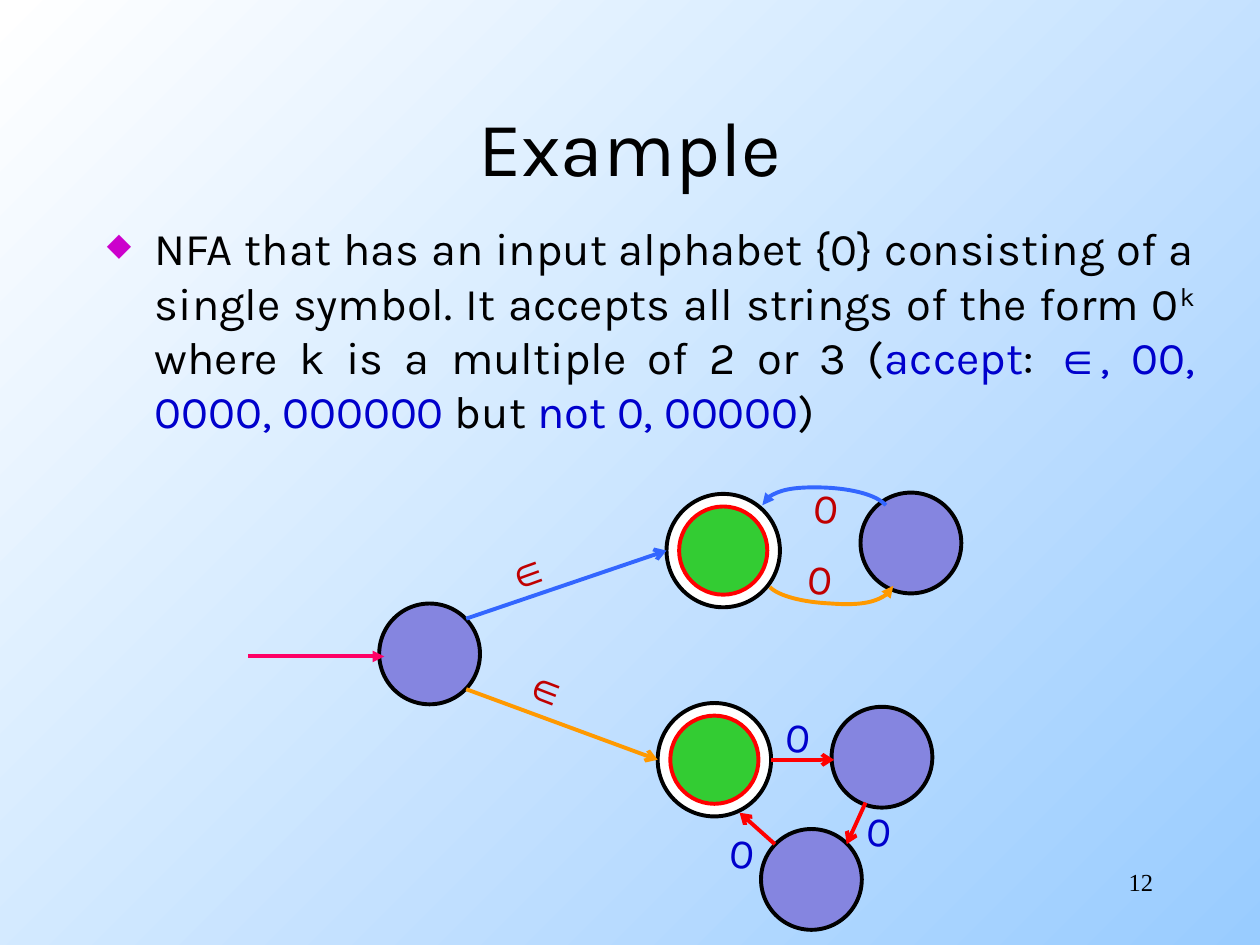
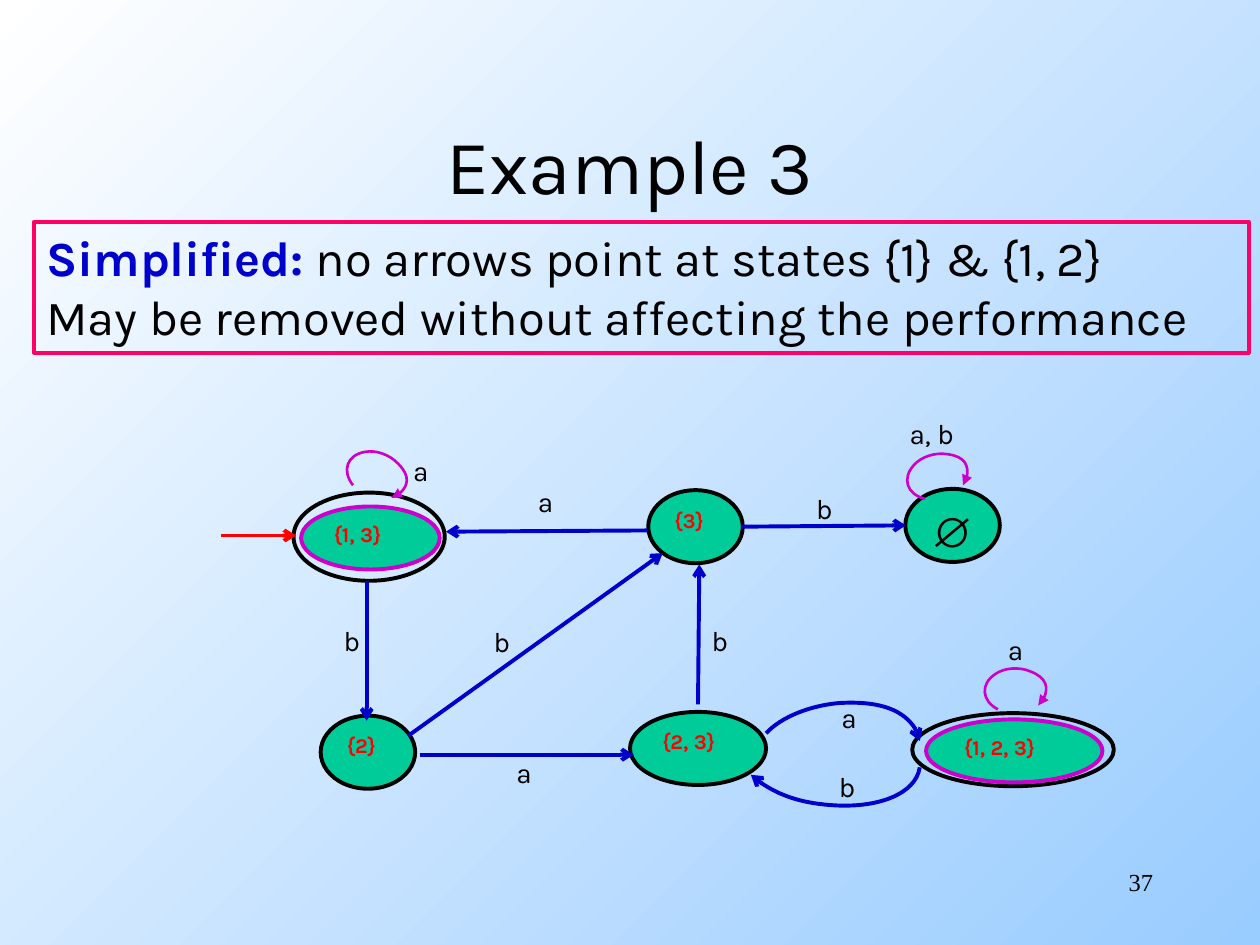
from math import cos, radians, sin

from lxml import etree
from pptx import Presentation
from pptx.dml.color import RGBColor
from pptx.enum.shapes import MSO_CONNECTOR, MSO_SHAPE
from pptx.enum.text import MSO_ANCHOR, PP_ALIGN
from pptx.oxml.ns import qn
from pptx.util import Inches, Pt

STRAIGHT = MSO_CONNECTOR.STRAIGHT
OVAL = MSO_SHAPE.OVAL
TOP, MIDDLE = MSO_ANCHOR.TOP, MSO_ANCHOR.MIDDLE
LEFT, CENTER = PP_ALIGN.LEFT, PP_ALIGN.CENTER
RIGHT, JUSTIFY = PP_ALIGN.RIGHT, PP_ALIGN.JUSTIFY

BLACK = RGBColor(0x00, 0x00, 0x00)
WHITE = RGBColor(0xFF, 0xFF, 0xFF)
SKY = RGBColor(0x99, 0xCC, 0xFF)
NAVY = RGBColor(0x00, 0x00, 0xCC)
BLUE = RGBColor(0x33, 0x66, 0xFF)
ORANGE = RGBColor(0xFF, 0x99, 0x00)
RED = RGBColor(0xFF, 0x00, 0x00)
DARK_RED = RGBColor(0xC0, 0x00, 0x00)
PINK = RGBColor(0xFF, 0x00, 0x66)
MAGENTA = RGBColor(0xCC, 0x00, 0xCC)
LILAC = RGBColor(0x85, 0x85, 0xE0)
GREEN = RGBColor(0x33, 0xCC, 0x33)
TEAL = RGBColor(0x00, 0xCC, 0x99)

KARLA, ARIAL, TIMES = "Karla", "Arial", "Times New Roman"
TITLE = {"name": KARLA, "size": Pt(44), "color": BLACK}
BODY = {"name": KARLA, "size": Pt(25.9), "color": BLACK}
NOTE = {"name": KARLA, "size": Pt(28), "color": BLACK}
NUMBER = {"name": TIMES, "size": Pt(14), "color": BLACK}
STATE = {"name": KARLA, "size": Pt(12), "color": RED, "bold": True}
EMPTY_SET = {"name": ARIAL, "size": Pt(24), "color": BLACK, "bold": True}
EDGE = {"name": KARLA, "size": Pt(16), "color": BLACK}
BIG_EDGE = {"name": KARLA, "size": Pt(24), "color": NAVY}
ACCENT = {"color": NAVY}

DIAGRAM = (1.5, 3)
LOOP = [(-.14, .15), (-.27, .08), (-.28, -.05), (-.16, -.13), (-.09, -.18),
        (.03, -.19), (.12, -.15), (.25, -.1), (.28, .03), (.18, .12)]


def add_run(p, text, fmt):
    r = p.add_run()
    r.text = text
    for name, value in fmt.items():
        if name == "color":
            r.font.color.rgb = value
        else:
            setattr(r.font, name, value)
    return r


def add_text(s, box, text, fmt, align=LEFT, anchor=TOP, wrap=True, rotation=0):
    sp = s.shapes.add_textbox(*map(Inches, box))
    sp.rotation = rotation
    tf = sp.text_frame
    tf.word_wrap = wrap
    tf.vertical_anchor = anchor
    p = tf.paragraphs[0]
    p.alignment = align
    if text:
        add_run(p, text, fmt)
    return sp


def add_frame(prs, title, title_top, number):
    s = prs.slides.add_slide(prs.slide_layouts[6])
    add_text(s, (.75, title_top, 8.5, 1.25), title, TITLE, CENTER, MIDDLE)
    add_text(s, (7.17, 6.83, 2.08, .5), number, NUMBER, RIGHT)
    return s


def add_state(s, box, center, size, fill, line, text="", fmt=STATE):
    (x, y), (cx, cy), (w, h) = box, center, size
    sp = s.shapes.add_shape(OVAL, Inches(x + cx - w / 2), Inches(y + cy - h / 2),
                            Inches(w), Inches(h))
    sp.shadow.inherit = False
    if fill is None:
        sp.fill.background()
    else:
        sp.fill.solid()
        sp.fill.fore_color.rgb = fill
    sp.line.color.rgb = line
    sp.line.width = Pt(2.25)
    if text:
        tf = sp.text_frame
        tf.vertical_anchor = TOP
        tf.paragraphs[0].alignment = LEFT
        add_run(tf.paragraphs[0], text, fmt)


def style_line(sp, color, head, width):
    sp.line.color.rgb = color
    sp.line.width = Pt(width)
    etree.SubElement(sp.line._get_or_add_ln(), qn("a:tailEnd"), type=head)


def add_arrow(s, box, start, end, color, head="arrow"):
    x, y = box
    ends = (x + start[0], y + start[1], x + end[0], y + end[1])
    sp = s.shapes.add_connector(STRAIGHT, *map(Inches, ends))
    style_line(sp, color, head, 2.25)
    etree.SubElement(sp._element.spPr, qn("a:effectLst"))


def add_curve(s, box, points, color, head="arrow", width=2.25):
    points = [(Inches(box[0] + px), Inches(box[1] + py)) for px, py in points]
    builder = s.shapes.build_freeform(*points[0])
    builder.add_line_segments(points[1:], close=False)
    sp = builder.convert_to_shape()
    lines = list(sp._element.iter(qn("a:lnTo")))
    for i in range(0, len(lines), 3):
        bezier = etree.Element(qn("a:cubicBezTo"))
        lines[i].addprevious(bezier)
        for line in lines[i:i + 3]:
            bezier.append(line[0])
            line.getparent().remove(line)
    sp.shadow.inherit = False
    sp.fill.background()
    style_line(sp, color, head, width)


def add_loop(s, box, center, angle):
    c, n = cos(radians(angle)), sin(radians(angle))
    points = [(center[0] + px * c - py * n, center[1] + px * n + py * c)
              for px, py in LOOP]
    add_curve(s, box, points, MAGENTA, "triangle", 1.5)


def add_statement(s, box):
    sp = add_text(s, box, "", BODY, JUSTIFY)
    p = sp.text_frame.paragraphs[0]
    p.space_before = Pt(7)
    pPr = p._p.get_or_add_pPr()
    pPr.set("marL", str(Inches(.38)))
    pPr.set("indent", str(-Inches(.38)))
    color = etree.SubElement(pPr, qn("a:buClr"))
    etree.SubElement(color, qn("a:srgbClr"), val=str(MAGENTA))
    etree.SubElement(pPr, qn("a:buSzPct"), val="70000")
    etree.SubElement(pPr, qn("a:buChar"), char="◆")
    add_run(p, "NFA that has an input alphabet {0} consisting of a single symbol. "
               "It accepts all strings of the form 0", BODY)
    power = add_run(p, "k", BODY)
    power.font._element.set("baseline", "30000")
    for text, change in [(" where k is a multiple of 2 or 3 (", {}),
                         ("accept", ACCENT), (": ", {}),
                         ("∈", {**ACCENT, "name": ARIAL}),
                         (", 00, 0000, 000000", ACCENT), (" but ", {}),
                         ("not 0, 00000", ACCENT), (")", {})]:
        add_run(p, text, {**BODY, **change})


def add_multiples_nfa(s, box):
    for center in [(1.91, 2.19), (4.94, 3.98), (5.73, 1.31), (5.5, 3.01)]:
        add_state(s, box, center, (.8, .8), LILAC, BLACK)
    for center in [(4.24, 1.37), (4.17, 3.03)]:
        add_state(s, box, center, (.9, .9), WHITE, BLACK)
        add_state(s, box, center, (.7, .7), GREEN, RED)
    add_arrow(s, box, (.47, 2.21), (1.55, 2.21), PINK, "triangle")
    for start, end, color in [((2.2, 1.91), (3.79, 1.37), BLUE),
                              ((2.2, 2.47), (3.72, 3.03), ORANGE),
                              ((4.62, 3.03), (5.12, 3.03), RED),
                              ((5.37, 3.37), (5.22, 3.7), RED),
                              ((4.65, 3.7), (4.37, 3.45), RED)]:
        add_arrow(s, box, start, end, color)
    add_curve(s, box, [(5.53, 1.01), (5.46, .93), (5.27, .88), (5.05, .87),
                       (4.78, .86), (4.56, .92), (4.55, 1.01)], BLUE, "triangle")
    add_curve(s, box, [(4.61, 1.66), (4.68, 1.73), (4.87, 1.78), (5.09, 1.79),
                       (5.36, 1.81), (5.58, 1.74), (5.59, 1.65)], ORANGE, "triangle")
    epsilon = {"name": ARIAL, "color": DARK_RED}
    for text, cx, cy, angle, change in [
            ("∈", 2.68, 1.52, 340.2, epsilon), ("∈", 2.85, 2.45, 21, epsilon),
            ("0", 5.06, 1.02, 5.6, {"color": DARK_RED}),
            ("0", 5.01, 1.59, 5.6, {"color": DARK_RED}),
            ("0", 4.84, 2.84, 5.6, {}), ("0", 5.48, 3.59, 5.6, {}),
            ("0", 4.39, 3.76, 5.6, {})]:
        w, h = .58, .33
        add_text(s, (box[0] + cx - w / 2, box[1] + cy - h / 2, w, h), text,
                 {**BIG_EDGE, **change}, CENTER, MIDDLE, False, angle)


def add_note(s, box):
    sp = add_text(s, box, "Simplified:", {**NOTE, **ACCENT, "bold": True})
    sp.line.color.rgb = PINK
    sp.line.width = Pt(2.25)
    tf = sp.text_frame
    add_run(tf.paragraphs[0], " no arrows point at states {1} & {1, 2}", NOTE)
    add_run(tf.add_paragraph(), "May be removed without affecting the performance", NOTE)


def add_subset_dfa(s, box):
    for text, center, w, fmt in [("{3}", (4.02, 1.18), .75, STATE),
                                 ("{2, 3}", (4.04, 2.94), 1.08, STATE),
                                 ("{2}", (1.42, 2.97), .75, STATE),
                                 ("∅", (6.06, 1.17), .75, EMPTY_SET)]:
        add_state(s, box, center, (w, .58), TEAL, BLACK, text, fmt)
    for text, center, outer, inner_w in [("{1, 3}", (1.43, 1.26), (1.2, .7), 1.1),
                                         ("{1, 2, 3}", (6.54, 2.95), (1.6, .58), 1.4)]:
        add_state(s, box, center, outer, None, BLACK)
        inner = (center[0] + .01, center[1] + .01)
        add_state(s, box, inner, (inner_w, .5), TEAL, MAGENTA, text)
    add_arrow(s, box, (.25, 1.25), (.85, 1.25), RED)
    for start, end in [((3.64, 1.21), (2.04, 1.22)), ((4.39, 1.18), (5.69, 1.17)),
                       ((1.83, 2.99), (3.53, 2.99)), ((1.74, 2.84), (3.76, 1.39)),
                       ((1.41, 1.61), (1.41, 2.72)), ((4.04, 2.59), (4.05, 1.48))]:
        add_arrow(s, box, start, end, NAVY)
    add_curve(s, box, [(4.58, 2.82), (4.7, 2.69), (4.93, 2.6), (5.16, 2.58),
                       (5.5, 2.56), (5.77, 2.68), (5.8, 2.88)], NAVY)
    add_curve(s, box, [(5.8, 3.09), (5.77, 3.3), (5.47, 3.42), (5.09, 3.39),
                       (4.84, 3.37), (4.6, 3.28), (4.46, 3.15)], NAVY)
    for center, angle in [((1.49, .77), 23.6), ((5.94, .78), -13.9), ((6.56, 2.48), 0)]:
        add_loop(s, box, center, angle)
    for text, spots in {
            "a": [(2.67, .8), (2.5, 2.95), (1.68, .55), (6.4, 1.97), (5.08, 2.51)],
            "b": [(4.88, .85), (2.32, 1.91), (4.05, 1.9), (5.06, 3.06), (1.13, 1.9)],
            "a, b": [(5.62, .26)]}.items():
        w = .33 if len(text) == 1 else .58
        for x, y in spots:
            add_text(s, (box[0] + x, box[1] + y, w, .37), text, EDGE, wrap=False)


def main():
    prs = Presentation()
    prs.slide_width, prs.slide_height = Inches(10), Inches(7.5)
    fill = prs.slide_master.background.fill
    fill.gradient()
    fill.gradient_angle = 315
    for stop, color in zip(fill.gradient_stops, (WHITE, SKY)):
        stop.color.rgb = color

    s = add_frame(prs, "Example", .53, "12")
    add_statement(s, (.75, 1.7, 8.83, 2.1))
    add_multiples_nfa(s, DIAGRAM)

    s = add_frame(prs, "Example 3", .67, "37")
    add_note(s, (.27, 1.76, 9.64, 1.04))
    add_subset_dfa(s, DIAGRAM)

    prs.save("out.pptx")


if __name__ == "__main__":
    main()
